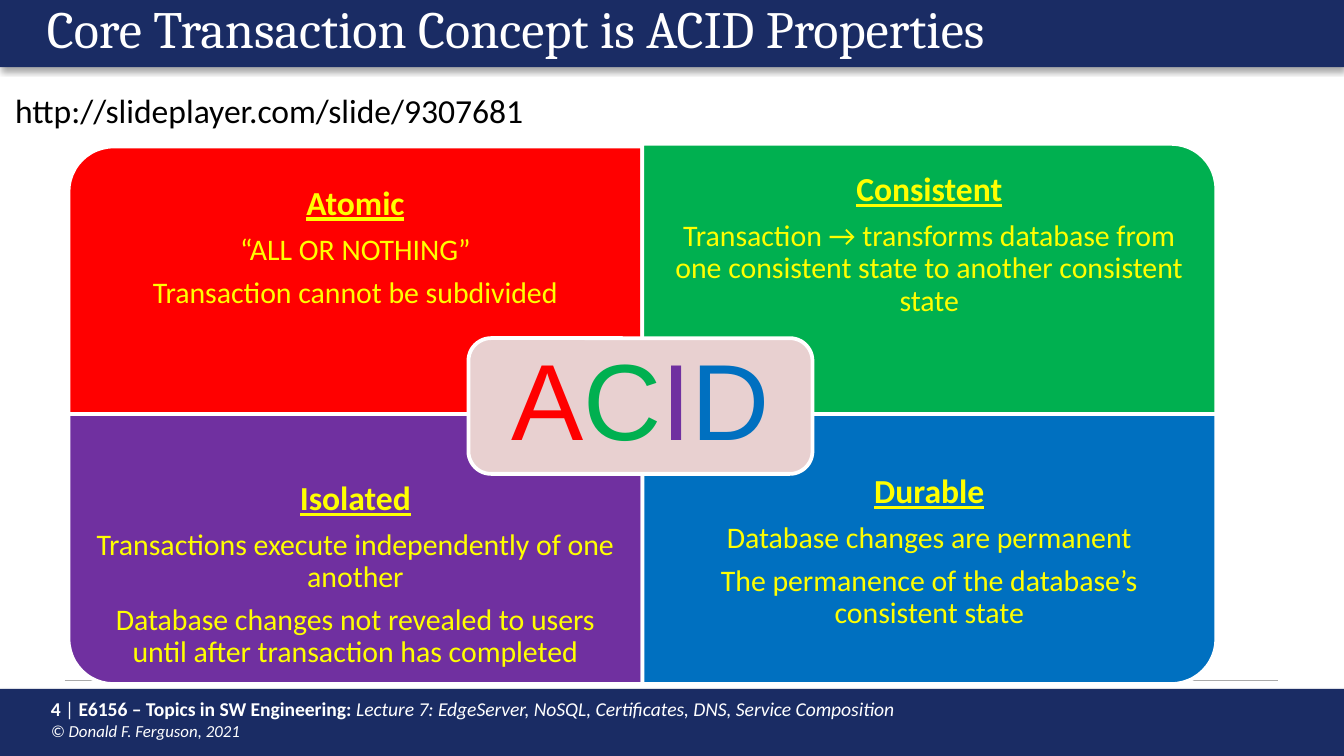
from lxml.etree import SubElement
from pptx import Presentation
from pptx.dml.color import RGBColor
from pptx.enum.shapes import MSO_CONNECTOR, MSO_SHAPE
from pptx.enum.text import MSO_ANCHOR, PP_ALIGN
from pptx.oxml.ns import qn
from pptx.util import Inches, Pt

NAVY = RGBColor(0x1A, 0x2C, 0x64)
WHITE = RGBColor(0xFF, 0xFF, 0xFF)
BLACK = RGBColor(0x00, 0x00, 0x00)
GREY = RGBColor(0xAA, 0xAA, 0xAA)
YELLOW = RGBColor(0xFF, 0xFF, 0x00)
RED = RGBColor(0xFF, 0x00, 0x00)
GREEN = RGBColor(0x00, 0xB0, 0x50)
PURPLE = RGBColor(0x70, 0x30, 0xA0)
BLUE = RGBColor(0x00, 0x70, 0xC0)
PINK = RGBColor(0xE8, 0xD0, 0xD0)

COLS, ROWS, BAND_H = 100, 56.25, 5
QUAD_W, QUAD_H, LABEL_H = 42.7, 20.1, 15.1
LEFT, MIDDLE = 5.1, 47.8
TOP, CENTRE = 10.7, 30.8
PAD = 1.4


class Deck:
    """Slide builder whose lengths are columns and rows of a square grid."""

    def __init__(self):
        self.prs = Presentation()
        self.cell = Inches(10) / COLS
        self.prs.slide_width, self.prs.slide_height = self.size(COLS, ROWS)
        self.s = self.prs.slides.add_slide(self.prs.slide_layouts[6])

    def size(self, *units):
        return [round(u * self.cell) for u in units]

    def shape(self, kind, box, fill, line=None):
        sp = self.s.shapes.add_shape(kind, *self.size(*box))
        sp.shadow.inherit = False
        sp.fill.solid()
        sp.fill.fore_color.rgb = fill
        if line is None:
            sp.line.fill.background()
        else:
            sp.line.color.rgb = line
            sp.line.width = Pt(2)
        return sp

    def band(self, row):
        sp = self.shape(MSO_SHAPE.RECTANGLE, (0, row, COLS, BAND_H), NAVY)
        effects = sp._element.spPr.find(qn("a:effectLst"))
        shadow = SubElement(effects, qn("a:outerShdw"), blurRad=str(Pt(3.1)),
                            dist=str(Pt(1.8)), dir="5400000", rotWithShape="0")
        color = SubElement(shadow, qn("a:srgbClr"), val="000000")
        SubElement(color, qn("a:alpha"), val="35000")

    def rule(self, x1, x2, y):
        ln = self.s.shapes.add_connector(MSO_CONNECTOR.STRAIGHT, *self.size(x1, y, x2, y))
        ln.line.color.rgb = GREY
        ln.line.width = Pt(0.75)
        SubElement(ln._element.spPr, qn("a:effectLst"))

    def text(self, box, paragraphs, font="Calibri", color=WHITE, insets=(1, 0.5, 1, 0.5),
             anchor=MSO_ANCHOR.TOP, align=PP_ALIGN.LEFT, spacing=None, after=0, wrap=True):
        tf = self.s.shapes.add_textbox(*self.size(*box)).text_frame
        tf.word_wrap = wrap
        tf.vertical_anchor = anchor
        (tf.margin_left, tf.margin_top,
         tf.margin_right, tf.margin_bottom) = self.size(*insets)
        for i, runs in enumerate(paragraphs):
            p = tf.add_paragraph() if i else tf.paragraphs[0]
            p.alignment = align
            p.line_spacing = spacing
            p.space_after = Pt(after * runs[0][1])
            for words, points, style in runs:
                r = p.add_run()
                r.text = words
                r.font.name = font
                r.font.size = Pt(points)
                r.font.color.rgb = style.get("color", color)
                r.font.bold = style.get("bold")
                r.font.italic = style.get("italic")
                r.font.underline = style.get("underline")

    def quadrant(self, x, y, turn, fill):
        w, h = (QUAD_H, QUAD_W) if turn % 180 else (QUAD_W, QUAD_H)
        box = (x + (QUAD_W - w) / 2, y + (QUAD_H - h) / 2, w, h)
        self.shape(MSO_SHAPE.ROUND_1_RECTANGLE, box, fill, WHITE).rotation = turn

    def label(self, x, y, heading, lines, top=PAD, bottom=PAD, anchor=MSO_ANCHOR.MIDDLE):
        paragraphs = [[(heading, 18, {"bold": True, "underline": True})]]
        paragraphs += [[(line, 16, {})] for line in lines]
        self.text((x, y, QUAD_W, LABEL_H), paragraphs, color=YELLOW,
                  insets=(PAD, top, PAD, bottom), anchor=anchor,
                  align=PP_ALIGN.CENTER, spacing=0.9, after=0.35)


def main():
    deck = Deck()
    bold, italic = {"bold": True}, {"italic": True}

    deck.band(ROWS - BAND_H)
    deck.text((2.8, 51.4, 74.2, 4.3), [
        [("4 ", 10.5, bold), ("|", 10.5, {}),
         (" E6156 – Topics in SW Engineering: ", 10.5, bold),
         ("Lecture 7: EdgeServer, NoSQL, Certificates, DNS, Service Composition", 10.5, italic)],
        [("© Donald F. Ferguson, 2021", 9, italic)]])
    deck.band(0)
    deck.rule(4.8, 95.1, 50.64)
    deck.text((2.5, -0.25, 90.6, 4.2),
              [[("Core Transaction Concept is ACID Properties", 28, {})]],
              font="Cambria", spacing=0.9)

    for x, y, turn, fill in ((LEFT, TOP + 0.2, 270, RED), (MIDDLE, TOP, 0, GREEN),
                             (LEFT, CENTRE, 180, PURPLE), (MIDDLE, CENTRE, 90, BLUE)):
        deck.quadrant(x, y, turn, fill)

    lower = CENTRE + QUAD_H - LABEL_H + 0.04
    deck.label(LEFT, TOP + 0.2, "Atomic",
               ["“ALL OR NOTHING”", "Transaction cannot be subdivided"])
    deck.label(MIDDLE, TOP, "Consistent",
               ["Transaction → transforms database from one consistent state "
                "to another consistent state"])
    deck.label(LEFT, lower, "Isolated",
               ["Transactions execute independently of one another",
                "Database changes not revealed to users until after transaction has completed"],
               top=0, anchor=MSO_ANCHOR.TOP)
    deck.label(MIDDLE, lower, "Durable",
               ["Database changes are permanent",
                "The permanence of the database’s consistent state"],
               top=0, bottom=PAD + 3.2)

    deck.shape(MSO_SHAPE.ROUNDED_RECTANGLE, (34.86, 25.16, 25.6, 10.1), PINK, WHITE)
    letters = zip("ACID", (RED, GREEN, PURPLE, BLUE))
    deck.text((35.35, 25.65, 24.6, 9.1),
              [[(letter, 58, {"color": color}) for letter, color in letters]],
              font="Arial", insets=(2.4,) * 4, anchor=MSO_ANCHOR.MIDDLE,
              align=PP_ALIGN.CENTER, spacing=0.9, after=0.35)
    deck.text((0.14, 6.2, 40.3, 4), [[("http://slideplayer.com/slide/9307681", 18, {})]],
              color=BLACK, wrap=False)

    deck.prs.save("out.pptx")


if __name__ == "__main__":
    main()
